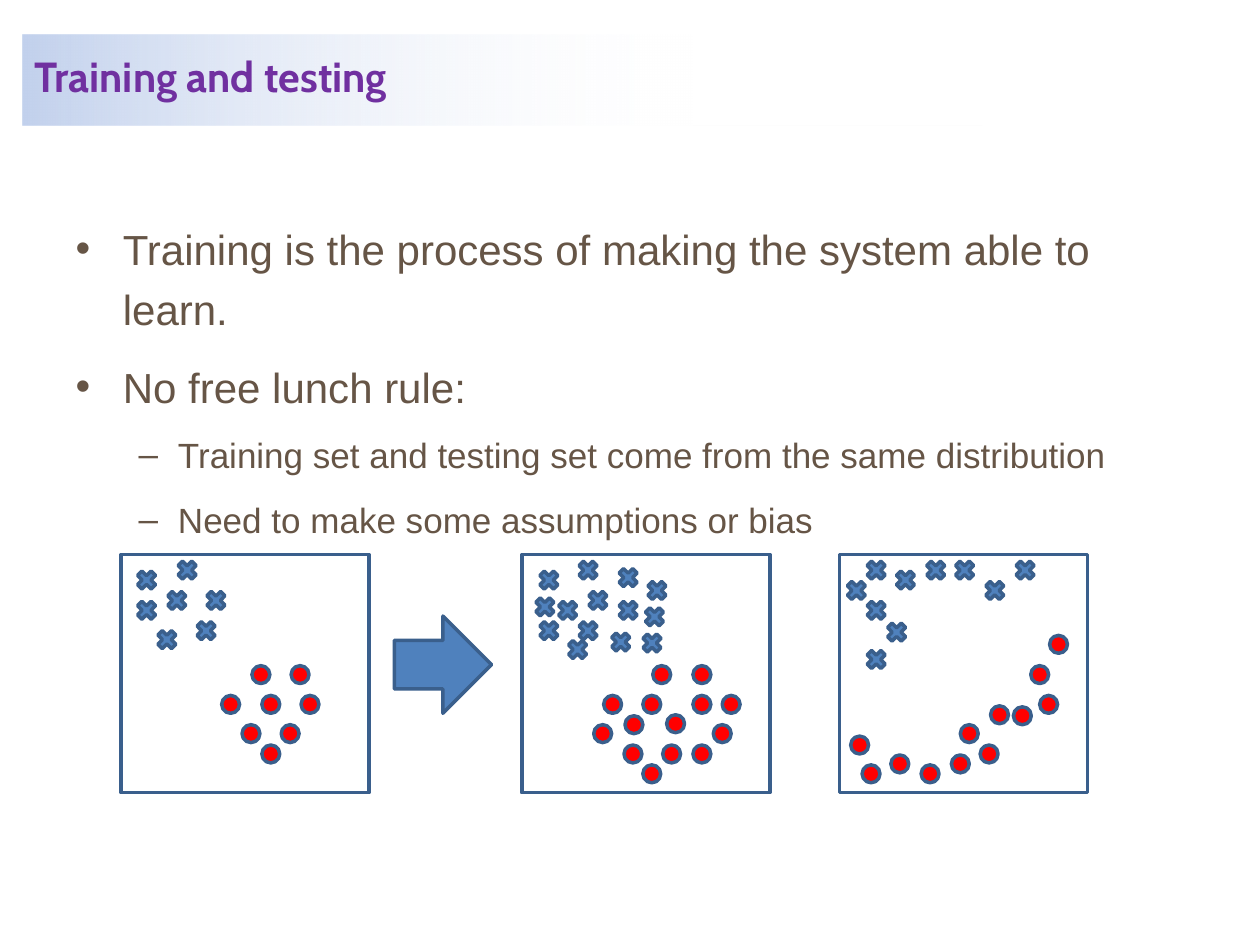
from dataclasses import dataclass

from lxml.etree import SubElement
from pptx import Presentation
from pptx.dml.color import RGBColor
from pptx.enum.shapes import MSO_SHAPE as Preset
from pptx.enum.text import MSO_ANCHOR as Anchor, MSO_AUTO_SIZE as AutoSize, PP_ALIGN as Align
from pptx.oxml.ns import qn
from pptx.util import Cm, Pt

WHITE = RGBColor(0xFF, 0xFF, 0xFF)
BLUE = RGBColor(0x4F, 0x81, 0xBD)
OUTLINE = RGBColor(0x3A, 0x5F, 0x8C)
RED = RGBColor(0xFF, 0x00, 0x00)
PURPLE = RGBColor(0x70, 0x30, 0xA0)
BROWN = RGBColor(0x66, 0x55, 0x46)
PALE_BLUE = RGBColor(0xC2, 0xD1, 0xED)

PANEL_TOP, PANEL_WIDTH, PANEL_HEIGHT = 11.18, 5.0, 4.8
CROSS_SIZE, DOT_SIZE = 0.53, 0.36


@dataclass(frozen=True)
class Panel:
    left: float
    crosses: tuple[tuple[float, float], ...]
    dots: tuple[tuple[float, float], ...]


@dataclass(frozen=True)
class Bullet:
    text: str
    level: int
    size: int
    space_before: float


TRAINING = Panel(
    2.44,
    ((0.25, 0.25), (0.86, 0.66), (1.07, 0.05), (0.25, 0.86), (1.65, 0.66), (1.45, 1.27),
     (0.66, 1.45)),
    ((2.64, 2.24), (2.03, 2.84), (3.43, 2.24), (2.84, 2.84), (2.44, 3.43), (3.63, 2.84),
     (3.23, 3.43), (2.84, 3.84)),
)
SAME_DISTRIBUTION = Panel(
    10.52,
    ((0.28, 0.25), (0.2, 0.79), (1.07, 0.05), (0.66, 0.86), (1.27, 0.66), (1.88, 0.2),
     (1.07, 1.27), (1.88, 0.86), (2.41, 0.99), (2.46, 0.46), (0.28, 1.27), (0.86, 1.65),
     (1.73, 1.5), (2.36, 1.52)),
    ((2.64, 2.24), (1.65, 2.84), (3.45, 2.24), (3.45, 2.84), (2.44, 2.84), (4.04, 2.84),
     (3.86, 3.43), (2.84, 3.84), (2.08, 3.25), (2.06, 3.84), (2.92, 3.23), (3.45, 3.84),
     (2.44, 4.24), (1.45, 3.43)),
)
OTHER_DISTRIBUTION = Panel(
    16.92,
    ((0.48, 0.05), (2.26, 0.05), (1.07, 0.25), (0.08, 0.46), (1.68, 0.05), (2.87, 0.46),
     (3.48, 0.05), (0.48, 0.86), (0.89, 1.3), (0.48, 1.85)),
    ((0.23, 3.66), (0.46, 4.24), (3.86, 2.24), (3.05, 3.05), (2.44, 3.43), (4.04, 2.84),
     (2.26, 4.04), (2.84, 3.84), (4.24, 1.63), (3.51, 3.07), (1.65, 4.24), (1.04, 4.04)),
)
PANELS = (TRAINING, SAME_DISTRIBUTION, OTHER_DISTRIBUTION)

BULLETS = (
    Bullet("Training is the process of making the system able to learn.", 0, 24, 9.6),
    Bullet("No free lunch rule:", 0, 24, 9.6),
    Bullet("Training set and testing set come from the same distribution", 1, 20, 8),
    Bullet("Need to make some assumptions or bias", 1, 20, 8),
)


def place(box, left: float, top: float, width: float, height: float) -> None:
    box.left, box.top, box.width, box.height = Cm(left), Cm(top), Cm(width), Cm(height)


def draw_shape(page, preset: Preset, left: float, top: float, width: float, height: float,
               color: RGBColor) -> None:
    shape = page.shapes.add_shape(preset, Cm(left), Cm(top), Cm(width), Cm(height))
    shape.shadow.inherit = False
    shape.fill.solid()
    shape.fill.fore_color.rgb = color
    shape.line.color.rgb = OUTLINE
    shape.line.width = Pt(2)


def draw_frame(page, panel: Panel) -> None:
    draw_shape(page, Preset.FLOWCHART_PROCESS, panel.left, PANEL_TOP, PANEL_WIDTH,
               PANEL_HEIGHT, WHITE)


def draw_samples(page, panel: Panel) -> None:
    for preset, size, color, points in (
        (Preset.MATH_MULTIPLY, CROSS_SIZE, BLUE, panel.crosses),
        (Preset.FLOWCHART_CONNECTOR, DOT_SIZE, RED, panel.dots),
    ):
        for across, down in points:
            draw_shape(page, preset, panel.left + across, PANEL_TOP + down, size, size, color)


def write_body(box) -> None:
    place(box, 1.27, 4.17, 22.86, 12.85)
    frame = box.text_frame
    frame.text = "\n".join(bullet.text for bullet in BULLETS)
    frame.auto_size = AutoSize.NONE
    for para, bullet in zip(frame.paragraphs, BULLETS):
        para.level = bullet.level
        para.line_spacing = 1.2
        para.space_before = Pt(bullet.space_before)
        font = para.runs[0].font
        font.name, font.size = "Arial", Pt(bullet.size)
        font.color.rgb = BROWN


def write_title(box) -> None:
    place(box, 0.45, 0.69, 19.35, 1.83)
    box.fill.gradient()
    box.fill.gradient_angle = 0
    start, end = box.fill.gradient_stops
    start.color.rgb, start.position = PALE_BLUE, 0
    end.color.rgb, end.position = WHITE, 0.7
    end_color = box.element.findall(".//" + qn("a:srgbClr"))[-1]
    SubElement(end_color, qn("a:alpha"), val="0")
    frame = box.text_frame
    frame.text = "Training and testing"
    frame.auto_size = AutoSize.NONE
    frame.vertical_anchor = Anchor.MIDDLE
    para = frame.paragraphs[0]
    para.alignment = Align.LEFT
    para.line_spacing = 0.85
    font = para.runs[0].font
    font.name, font.size, font.bold = "Cabin", Pt(24), True
    font.color.rgb = PURPLE


def main() -> None:
    deck = Presentation()
    deck.slide_width, deck.slide_height = Cm(25.4), Cm(19.05)
    page = deck.slides.add_slide(deck.slide_layouts[1])
    title, body = page.placeholders
    for panel in reversed(PANELS):
        draw_frame(page, panel)
    write_body(body)
    write_title(title)
    for box in (body, title):
        page.shapes.element.append(box.element)
    for panel in PANELS:
        draw_samples(page, panel)
    draw_shape(page, Preset.RIGHT_ARROW, 7.95, 12.42, 1.96, 1.96, BLUE)
    deck.save("out.pptx")


if __name__ == "__main__":
    main()
